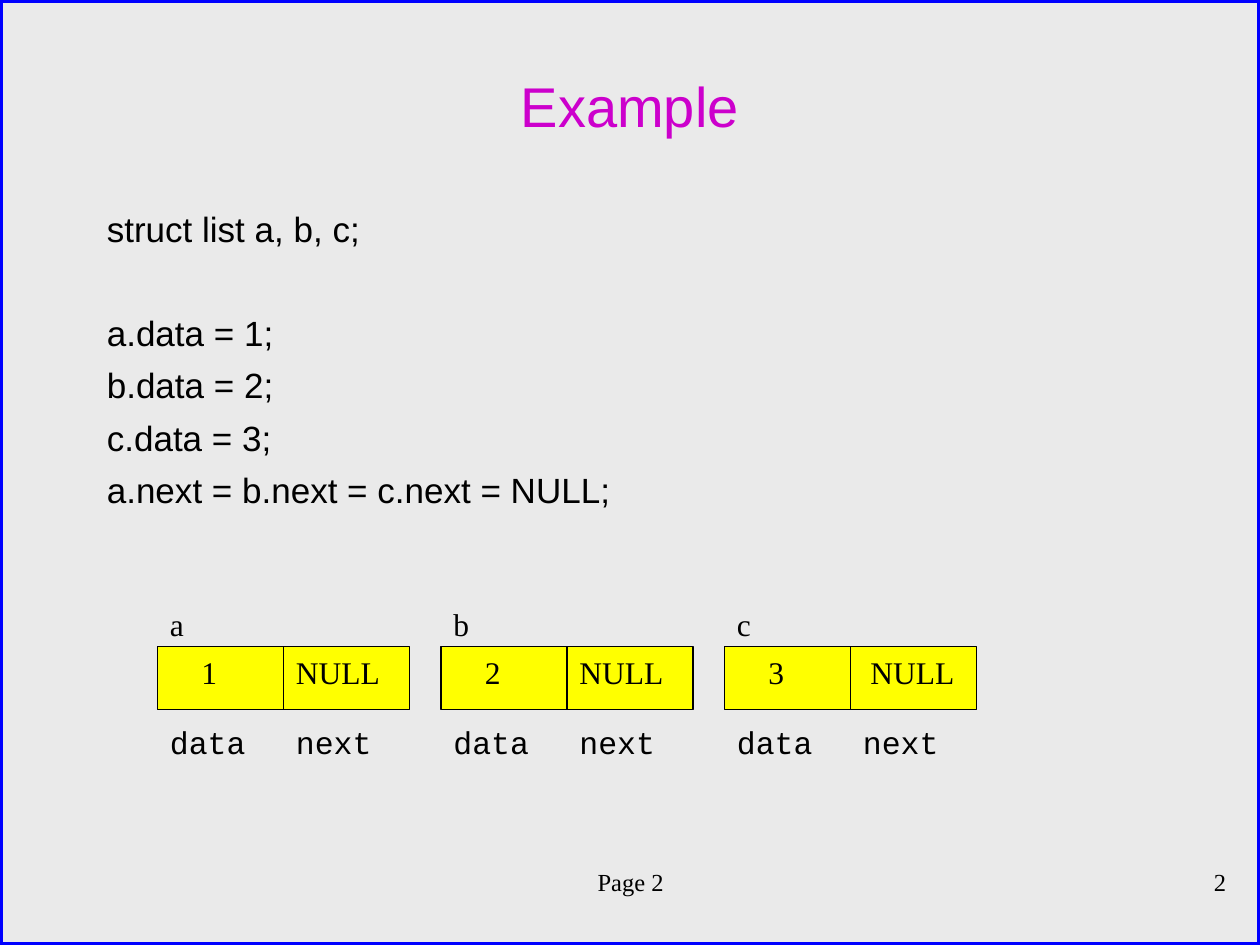
from pptx import Presentation
from pptx.dml.color import RGBColor
from pptx.enum.shapes import MSO_CONNECTOR as Connector, MSO_SHAPE as Shape
from pptx.enum.text import MSO_ANCHOR as Anchor, PP_ALIGN as Align
from pptx.oxml.ns import qn
from pptx.util import Inches, Pt
from lxml.etree import SubElement

# Content
TITLE = "Example"
CODE_BLOCKS = [
    ["struct list a, b, c;"],
    ["a.data = 1;", "b.data = 2;", "c.data = 3;",
     "a.next = b.next = c.next = NULL;"],
]
FIELDS = ["data", "next"]
# name, data, next, extra shift of the next value in inches
NODES = [("a", "1", "NULL", 0), ("b", "2", "NULL", 0), ("c", "3", "NULL", 0.06)]
FOOTER = "Page 2"
PAGE_NUMBER = "2"

THEME = {
    "background": RGBColor(0xEA, 0xEA, 0xEA),
    "border": RGBColor(0x00, 0x00, 0xFF),
    "title": RGBColor(0xCC, 0x00, 0xCC),
    "text": RGBColor(0x00, 0x00, 0x00),
    "node": RGBColor(0xFF, 0xFF, 0x00),
    "sans": "Arial", "serif": "Times New Roman", "mono": "Courier New",
    "title_size": 32, "code_size": 20, "node_size": 18, "footer_size": 14,
}

# Layout, in inches
SLIDE_WIDTH, SLIDE_HEIGHT = 10, 7.5
NODE_LEFT, NODE_TOP, NODE_STEP = 1.25, 5.13, 2.25
CELL_WIDTH, CELL_HEIGHT = 1, 0.5
CODE_SPACING, BLOCK_SPACING = Pt(6), Pt(35)


def add_text(slide, lines, left, top, width, height, font, size,
             color="text", align=Align.LEFT, anchor=Anchor.TOP):
    box = slide.shapes.add_textbox(
        Inches(left), Inches(top), Inches(width), Inches(height))
    frame = box.text_frame
    frame.word_wrap = True
    frame.vertical_anchor = anchor
    frame.text = "\n".join(lines)
    for paragraph in frame.paragraphs:
        paragraph.alignment = align
        paragraph.font.name = THEME[font]
        paragraph.font.size = Pt(THEME[size])
        paragraph.font.color.rgb = THEME[color]
    return frame


def add_rectangle(slide, left, top, width, height, fill, line, line_width):
    shape = slide.shapes.add_shape(
        Shape.RECTANGLE, Inches(left), Inches(top), Inches(width), Inches(height))
    shape.shadow.inherit = False
    shape.fill.solid()
    shape.fill.fore_color.rgb = THEME[fill]
    shape.line.color.rgb = THEME[line]
    shape.line.width = Pt(line_width)
    return shape


def add_code(slide):
    lines = [line for block in CODE_BLOCKS for line in block]
    frame = add_text(slide, lines, 0.75, 1.6, 8.5, 5.4, "sans", "code_size")
    block_starts = {block[0] for block in CODE_BLOCKS}
    for paragraph in frame.paragraphs[1:]:
        starts_block = paragraph.text in block_starts
        paragraph.space_before = BLOCK_SPACING if starts_block else CODE_SPACING


def add_node(slide, left, name, data, following, shift):
    # Box split into two cells
    box = add_rectangle(slide, left, NODE_TOP, 2 * CELL_WIDTH, CELL_HEIGHT,
                        "node", "text", 0.75)
    middle = left + CELL_WIDTH
    divider = slide.shapes.add_connector(
        Connector.STRAIGHT, Inches(middle), Inches(NODE_TOP),
        Inches(middle), Inches(NODE_TOP + CELL_HEIGHT))
    divider.begin_connect(box, 0)
    divider.end_connect(box, 2)
    divider.line.color.rgb = THEME["text"]
    divider.line.width = Pt(0.75)
    SubElement(divider._element.spPr, qn("a:effectLst"))

    # Name above, values inside, field names below
    serif = ("serif", "node_size")
    add_text(slide, [name], left, NODE_TOP - 0.38, 0.5, 0.38, *serif)
    add_text(slide, [data], left + 0.25, NODE_TOP, 0.5, 0.37, *serif)
    add_text(slide, [following], middle + shift, NODE_TOP, 1.25, 0.37, *serif)
    for column, field in enumerate(FIELDS):
        add_text(slide, [field], left + column * CELL_WIDTH, NODE_TOP + 0.56,
                 1.13, 0.5, "mono", "node_size")


def main():
    presentation = Presentation()
    presentation.slide_width = Inches(SLIDE_WIDTH)
    presentation.slide_height = Inches(SLIDE_HEIGHT)
    slide = presentation.slides.add_slide(presentation.slide_layouts[6])

    # Background and border
    slide.background.fill.solid()
    slide.background.fill.fore_color.rgb = THEME["background"]
    add_rectangle(slide, 0, 0, SLIDE_WIDTH, SLIDE_HEIGHT,
                  "background", "border", 3)

    # Footer
    add_text(slide, [FOOTER], 0.67, 6.83, 8.67, 0.5, "serif", "footer_size",
             align=Align.CENTER)
    add_text(slide, [PAGE_NUMBER], 7.75, 6.83, 2.08, 0.5, "serif",
             "footer_size", align=Align.RIGHT)

    # Title and code
    add_text(slide, [TITLE], 0.75, 0.42, 8.5, 0.83, "sans", "title_size",
             "title", Align.CENTER, Anchor.MIDDLE)
    add_code(slide)

    # List nodes
    for index, node in enumerate(NODES):
        add_node(slide, NODE_LEFT + index * NODE_STEP, *node)

    presentation.save("out.pptx")


if __name__ == "__main__":
    main()
